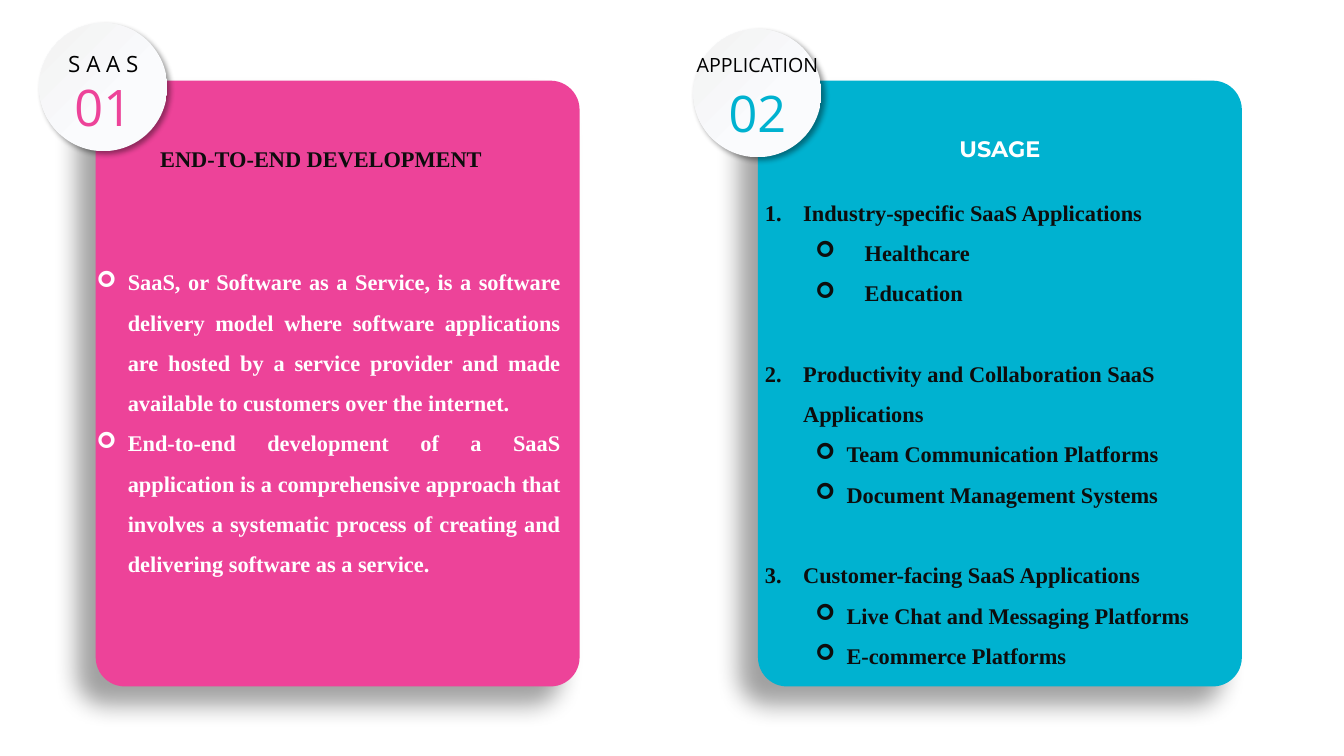
from lxml import etree
from pptx import Presentation, util as u
from pptx.dml.color import RGBColor
from pptx.enum import shapes, text
from pptx.oxml.ns import qn

# The slide is a grid of square cells, ten to the inch.
CELL = u.Inches(0.1)
COLUMNS, ROWS = 133.33, 75
CARD_TOP, CARD_WIDTH, CARD_HEIGHT = 8, 48, 60.1
BADGE_SIZE = 12.7
LINE_GAP = u.Pt(28.8)

PINK = RGBColor(0xED, 0x43, 0x99)
TEAL = RGBColor(0x00, 0xB2, 0xD0)
WHITE = RGBColor(0xFF, 0xFF, 0xFF)
BLACK = RGBColor(0x00, 0x00, 0x00)
INK = RGBColor(0x0D, 0x0D, 0x0D)
BADGE_LIGHT = RGBColor(0xFA, 0xFB, 0xFD)
BADGE_DARK = RGBColor(0xF2, 0xF2, 0xF2)

SERIF, SANS, DISPLAY = "Times New Roman", "Open Sans", "Montserrat"
ARROW = "➢"

DEFINITIONS = [
    "SaaS, or Software as a Service, is a software delivery model where "
    "software applications are hosted by a service provider and made "
    "available to customers over the internet.",
    "End-to-end development of a SaaS application is a comprehensive approach "
    "that involves a systematic process of creating and delivering software "
    "as a service.",
]
# Category, its examples, and the left margin of the examples in cells
USES = [
    ("Industry-specific SaaS Applications", ["Healthcare", "Education"], 9.9),
    ("Productivity and Collaboration SaaS Applications",
     ["Team Communication Platforms", "Document Management Systems"], 8.1),
    ("Customer-facing SaaS Applications",
     ["Live Chat and Messaging Platforms", "E-commerce Platforms"], 8.1),
]


def cells(*counts):
    return [round(count * CELL) for count in counts]


def add_shadow(shape, opacity, blur, distance, angle):
    """Outer shadow: opacity in percent, blur and distance in points, angle in degrees."""
    effects = etree.SubElement(shape._element.spPr, qn("a:effectLst"))
    shadow = etree.SubElement(
        effects, qn("a:outerShdw"), blurRad=str(u.Pt(blur)),
        dist=str(u.Pt(distance)), dir=str(angle * 60000), algn="ctr", rotWithShape="0")
    color = etree.SubElement(shadow, qn("a:srgbClr"), val="000000")
    etree.SubElement(color, qn("a:alpha"), val=str(opacity * 1000))


def add_card(group, left, color):
    card = group.shapes.add_shape(
        shapes.MSO_SHAPE.ROUNDED_RECTANGLE,
        *cells(left, CARD_TOP, CARD_WIDTH, CARD_HEIGHT))
    card.adjustments[0] = 0.06
    card.fill.solid()
    card.fill.fore_color.rgb = color
    card.line.fill.background()
    add_shadow(card, 36, 17, 19, 135)


def add_frame(group, left, top, width, height):
    frame = group.shapes.add_textbox(*cells(left, top, width, height)).text_frame
    frame.word_wrap = True
    return frame


def style(paragraph, size, face, color, bold=False):
    font = paragraph.font
    font.size, font.name, font.bold = u.Pt(size), face, bold
    font.color.rgb = color


def add_label(group, box, words, size, face, color, bold=False):
    paragraph = add_frame(group, *box).paragraphs[0]
    paragraph.text = words
    paragraph.alignment = text.PP_ALIGN.CENTER
    style(paragraph, size, face, color, bold)


def add_item(frame, words, color, margin, hang, number=None, level=0):
    """List entry with an arrow bullet, or with a number where one is given."""
    first = frame.paragraphs[0]
    item = frame.add_paragraph() if first.runs else first
    item.text = words
    item.level = level
    item.line_spacing = 1.5
    item.alignment = text.PP_ALIGN.JUSTIFY
    properties = item._p.get_or_add_pPr()
    left, indent = cells(margin, -hang)
    properties.set("marL", str(left))
    properties.set("indent", str(indent))
    if number:
        etree.SubElement(properties, qn("a:buFont"), typeface="+mj-lt")
        etree.SubElement(properties, qn("a:buAutoNum"), type="arabicPeriod",
                         startAt=str(number))
    else:
        etree.SubElement(properties, qn("a:buFont"), typeface="Wingdings")
        etree.SubElement(properties, qn("a:buChar"), char=ARROW)
    style(item, 16, SERIF, color, bold=True)
    return item


def add_badge(slide, left, top, caption, caption_box, caption_size,
              number, color):
    group = slide.shapes.add_group_shape()
    disc = group.shapes.add_shape(shapes.MSO_SHAPE.OVAL,
                                  *cells(left, top, BADGE_SIZE, BADGE_SIZE))
    disc.fill.gradient()
    disc.fill.gradient_angle = 135
    stops = zip(disc.fill.gradient_stops, (0.38, 1), (BADGE_LIGHT, BADGE_DARK))
    for stop, position, shade in stops:
        stop.position = position
        stop.color.rgb = shade
    disc.line.fill.background()
    add_shadow(disc, 40, 4, 3, 45)
    add_label(group, caption_box, caption, caption_size, SANS, BLACK)
    add_label(group, (left, top + 4.8, BADGE_SIZE, 7.1), number, 36, SANS, color)


def add_development(slide):
    group = slide.shapes.add_group_shape()
    add_card(group, 9.5, PINK)
    add_label(group, (12.1, 13.9, 39.5, 3.7), "END-TO-END DEVELOPMENT",
              16, SERIF, INK, bold=True)
    body = add_frame(group, 8.6, 24.8, CARD_WIDTH, 32.8)
    for definition in DEFINITIONS:
        add_item(body, definition, WHITE, 3.1, 3.1)


def add_usage(slide):
    group = slide.shapes.add_group_shape()
    add_card(group, 75.2, TEAL)
    add_label(group, (79.4, 12.9, 39.6, 3.7), "USAGE", 16, DISPLAY, WHITE, bold=True)
    body = add_frame(group, 74.9, 17.9, CARD_WIDTH, 49.5)
    for number, (category, examples, margin) in enumerate(USES, 1):
        heading = add_item(body, category, INK, 3.8, 3.8, number)
        heading.alignment = text.PP_ALIGN.LEFT
        if number > 1:
            heading.space_before = LINE_GAP
        for example in examples:
            add_item(body, example, INK, margin, margin - 5, level=1)


def main():
    deck = Presentation()
    deck.slide_width, deck.slide_height = cells(COLUMNS, ROWS)
    slide = deck.slides.add_slide(deck.slide_layouts[6])
    add_development(slide)
    add_usage(slide)
    add_badge(slide, 3.9, 2.3, "S A A S", (3.9, 4.5, BADGE_SIZE, 3.7), 16, "01", PINK)
    add_badge(slide, 68.8, 2.9, "APPLICATION", (67.9, 4.8, 14.5, 3.4), 14, "02", TEAL)
    deck.save("out.pptx")


if __name__ == "__main__":
    main()
